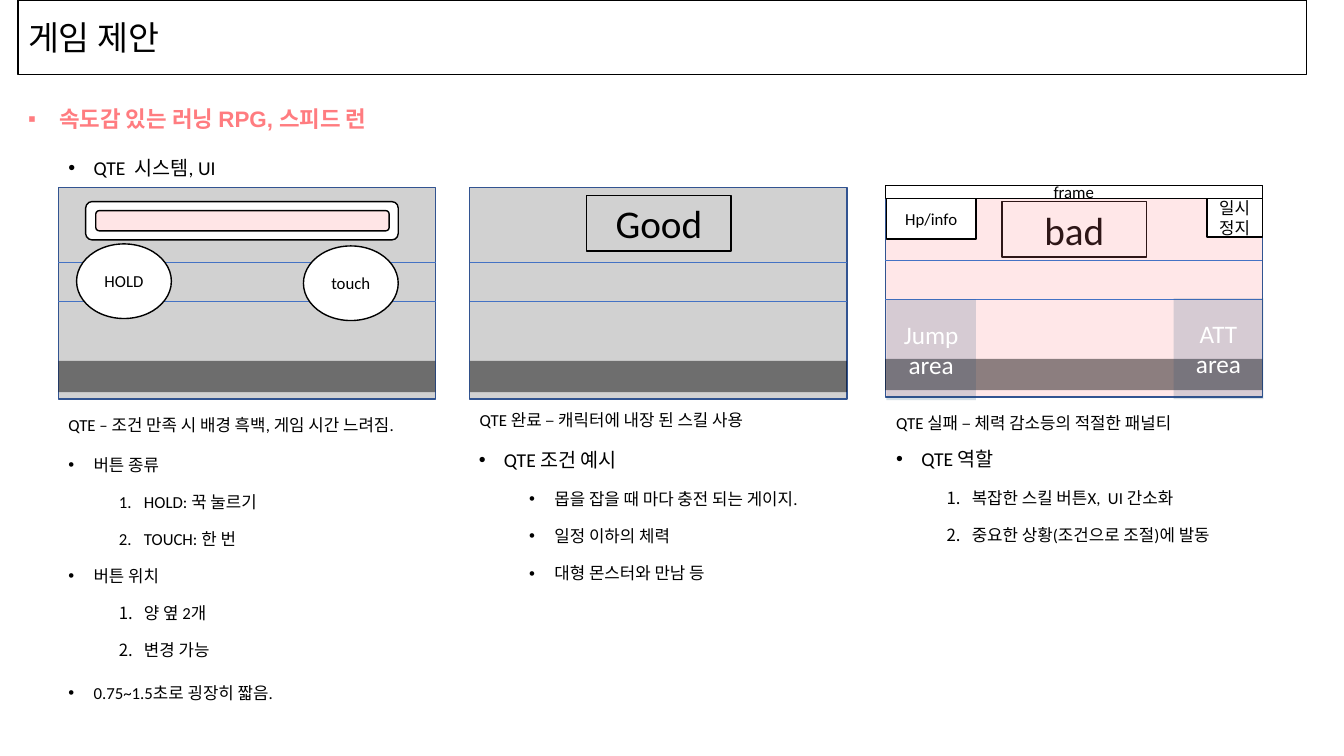
"""Build the game proposal slide on the quick-time-event system."""
import pptx
import pptx.dml.color
import pptx.enum.shapes
import pptx.enum.text
import pptx.oxml.ns
import pptx.util
from lxml import etree

Inches = pptx.util.Inches
Pt = pptx.util.Pt
RGBColor = pptx.dml.color.RGBColor
SHAPE = pptx.enum.shapes.MSO_SHAPE
ALIGN = pptx.enum.text.PP_ALIGN
MIDDLE = pptx.enum.text.MSO_ANCHOR.MIDDLE
qn = pptx.oxml.ns.qn

BLACK = RGBColor(0x00, 0x00, 0x00)
WHITE = RGBColor(0xFF, 0xFF, 0xFF)
CORAL = RGBColor(0xFF, 0x7C, 0x80)
PALE_PINK = RGBColor(0xFF, 0xE5, 0xE6)
NAVY = RGBColor(0x1F, 0x4E, 0x79)
FRAME_BLUE = RGBColor(0x32, 0x54, 0x91)
LANE_BLUE = RGBColor(0x44, 0x72, 0xC4)

SCENE_WIDTH = 3.74
SCENE_HEIGHT = 2.1


def add_bullet(para, bullet, margin, hanging):
    """Give a paragraph a hanging bullet, or a number where bullet is '1.'."""
    props = para._p.get_or_add_pPr()
    props.set("marL", str(Inches(margin)))
    props.set("indent", str(-Inches(hanging)))
    etree.SubElement(props, qn("a:buFont"), typeface="Arial")
    if bullet == "1.":
        etree.SubElement(props, qn("a:buAutoNum"), type="arabicPeriod")
    else:
        etree.SubElement(props, qn("a:buChar"), char=bullet)


def write(para, text, size=12, color=BLACK, font="Calibri", bold=False, align=ALIGN.LEFT,
          spacing=None, before=None, bullet=None, margin=0.25, hanging=0.25):
    """Write formatted text into a paragraph."""
    if bullet:
        add_bullet(para, bullet, margin, hanging)
    para.alignment = align
    if spacing:
        para.line_spacing = spacing
    if before:
        para.space_before = Pt(before)
    span = para.add_run()
    span.text = text
    span.font.size = Pt(size)
    span.font.name = font
    span.font.bold = bold
    span.font.color.rgb = color


def add_text(page, left, top, width, height):
    """Add an empty wrapping text box and return its frame."""
    frame = page.shapes.add_textbox(Inches(left), Inches(top), Inches(width), Inches(height)).text_frame
    frame.word_wrap = True
    return frame


def add_list(page, left, top, width, height, heading, items=(), size=12, marker="1."):
    """Add a bulleted heading with indented items below it."""
    frame = add_text(page, left, top, width, height)
    write(frame.paragraphs[0], heading, size=size, spacing=1.5, bullet="•")
    for item in items:
        write(frame.add_paragraph(), item, spacing=1.5, before=5, bullet=marker, margin=0.75)


def add_box(shapes, left, top, width, height, text="", kind=SHAPE.RECTANGLE, fill=WHITE,
            opacity=100, line=BLACK, **style):
    """Add a preset shape with optional fill, outline and one paragraph per text line."""
    box = shapes.add_shape(kind, Inches(left), Inches(top), Inches(width), Inches(height))
    box.shadow.inherit = False
    if fill is None:
        box.fill.background()
    else:
        box.fill.solid()
        box.fill.fore_color.rgb = fill
        if opacity < 100:
            tint = box.fill._xPr.find(".//" + qn("a:srgbClr"))
            etree.SubElement(tint, qn("a:alpha"), val=str(opacity * 1000))
    if line is None:
        box.line.fill.background()
    else:
        box.line.color.rgb = line
        box.line.width = Pt(1)
    if text:
        frame = box.text_frame
        frame.vertical_anchor = MIDDLE
        for index, words in enumerate(text.split("\n")):
            para = frame.add_paragraph() if index else frame.paragraphs[0]
            write(para, words, **{"align": ALIGN.CENTER, **style})


def add_lane(shapes, left, top):
    """Add a thin horizontal lane line across a scene."""
    lane = shapes.add_connector(pptx.enum.shapes.MSO_CONNECTOR.STRAIGHT, Inches(left), Inches(top),
                                Inches(left + SCENE_WIDTH), Inches(top))
    lane.line.color.rgb = LANE_BLUE
    lane.line.width = Pt(0.5)
    etree.SubElement(lane._element.spPr, qn("a:effectLst"))


def add_scene(shapes, left, top, fill, ground_opacity):
    """Add a game screen with its ground band and two lanes."""
    add_box(shapes, left, top, SCENE_WIDTH, SCENE_HEIGHT, fill=fill, opacity=18, line=FRAME_BLUE)
    add_box(shapes, left, top + 1.72, SCENE_WIDTH, 0.31, fill=BLACK, opacity=ground_opacity, line=None)
    for offset in (1.13, 0.74):
        add_lane(shapes, left, top + offset)


def add_hold_screen(page):
    """Add the first screen with its gauge and two buttons."""
    add_scene(page.shapes.add_group_shape().shapes, 0.58, 1.86, BLACK, 48)
    for left, top, label in ((3.01, 2.44, "touch"), (0.76, 2.42, "HOLD")):
        add_box(page.shapes, left, top, 0.94, 0.74, label, kind=SHAPE.OVAL)
    add_box(page.shapes, 0.85, 2, 3.1, 0.38, kind=SHAPE.ROUNDED_RECTANGLE)
    add_box(page.shapes, 0.95, 2.09, 2.91, 0.2, kind=SHAPE.ROUNDED_RECTANGLE, fill=PALE_PINK)


def add_good_screen(page):
    """Add the success screen."""
    add_scene(page.shapes.add_group_shape().shapes, 4.66, 1.86, BLACK, 47)
    add_box(page.shapes, 5.82, 1.94, 1.43, 0.55, "Good", fill=None, size=28)


def add_bad_screen(page):
    """Add the failure screen with its interface areas."""
    add_box(page.shapes, 9.94, 2, 1.43, 0.55, "bad", fill=None, size=28)
    add_scene(page.shapes, 8.78, 1.84, CORAL, 45)
    add_box(page.shapes, 8.78, 1.84, SCENE_WIDTH, 0.13, "frame")
    add_box(page.shapes, 8.79, 1.97, 0.89, 0.4, "Hp/info")
    for left, top, label in ((8.79, 2.97, "Jump\narea"), (11.64, 2.96, "ATT\narea")):
        add_box(page.shapes, left, top, 0.89, 1, label, fill=NAVY, opacity=18, line=None,
                size=18, color=WHITE)
    add_box(page.shapes, 11.97, 1.97, 0.55, 0.38, "일시정지")


def add_headings(page):
    """Add the framed header, the slide title and the topic line."""
    add_box(page.shapes, 0.18, 0, 12.78, 0.74, "게임 제안", size=24, align=ALIGN.LEFT)
    frame = add_text(page, 0.18, 0.94, 12.78, 0.51)
    frame.vertical_anchor = MIDDLE
    write(frame.paragraphs[0], "속도감 있는 러닝 RPG, 스피드 런", size=16, color=CORAL, font="Arial",
          bold=True, spacing=0.9, bullet="▪", margin=0.31, hanging=0.31)
    add_list(page, 0.58, 1.38, 6.58, 0.5, "QTE  시스템, UI", size=14)


def add_notes_below(page):
    """Add the captions and lists under the three screens."""
    captions = (
        (0.58, 3.97, "QTE – 조건 만족 시 배경 흑백, 게임 시간 느려짐."),
        (4.66, 3.92, "QTE 완료 – 캐릭터에 내장 된 스킬 사용"),
        (8.79, 3.95, "QTE 실패 – 체력 감소등의 적절한 패널티"),
    )
    for left, top, caption in captions:
        write(add_text(page, left, top, 3.93, 0.4).paragraphs[0], caption, spacing=1.5)
    add_list(page, 0.58, 4.36, 3.1, 1.36, "버튼 종류", ("HOLD: 꾹 눌르기", "TOUCH: 한 번"))
    add_list(page, 0.58, 5.46, 3.1, 1.36, "버튼 위치", ("양 옆 2개", "변경 가능"))
    add_list(page, 0.58, 6.62, 3.1, 0.5, "0.75~1.5초로 굉장히 짧음.")
    add_list(page, 4.65, 4.28, 3.75, 2.62, "QTE 조건 예시",
             ("몹을 잡을 때 마다 충전 되는 게이지.", "일정 이하의 체력", "대형 몬스터와 만남 등"),
             size=14, marker="•")
    add_list(page, 8.79, 4.27, 4.19, 2.24, "QTE 역할",
             ("복잡한 스킬 버튼X,  UI 간소화", "중요한 상황(조건으로 조절)에 발동"), size=14)


def main():
    """Build and save the slide."""
    deck = pptx.Presentation()
    deck.slide_width = Inches(13.33)
    deck.slide_height = Inches(7.5)
    page = deck.slides.add_slide(deck.slide_layouts[6])
    add_headings(page)
    add_hold_screen(page)
    add_good_screen(page)
    add_bad_screen(page)
    add_notes_below(page)
    deck.save("out.pptx")


if __name__ == "__main__":
    main()
